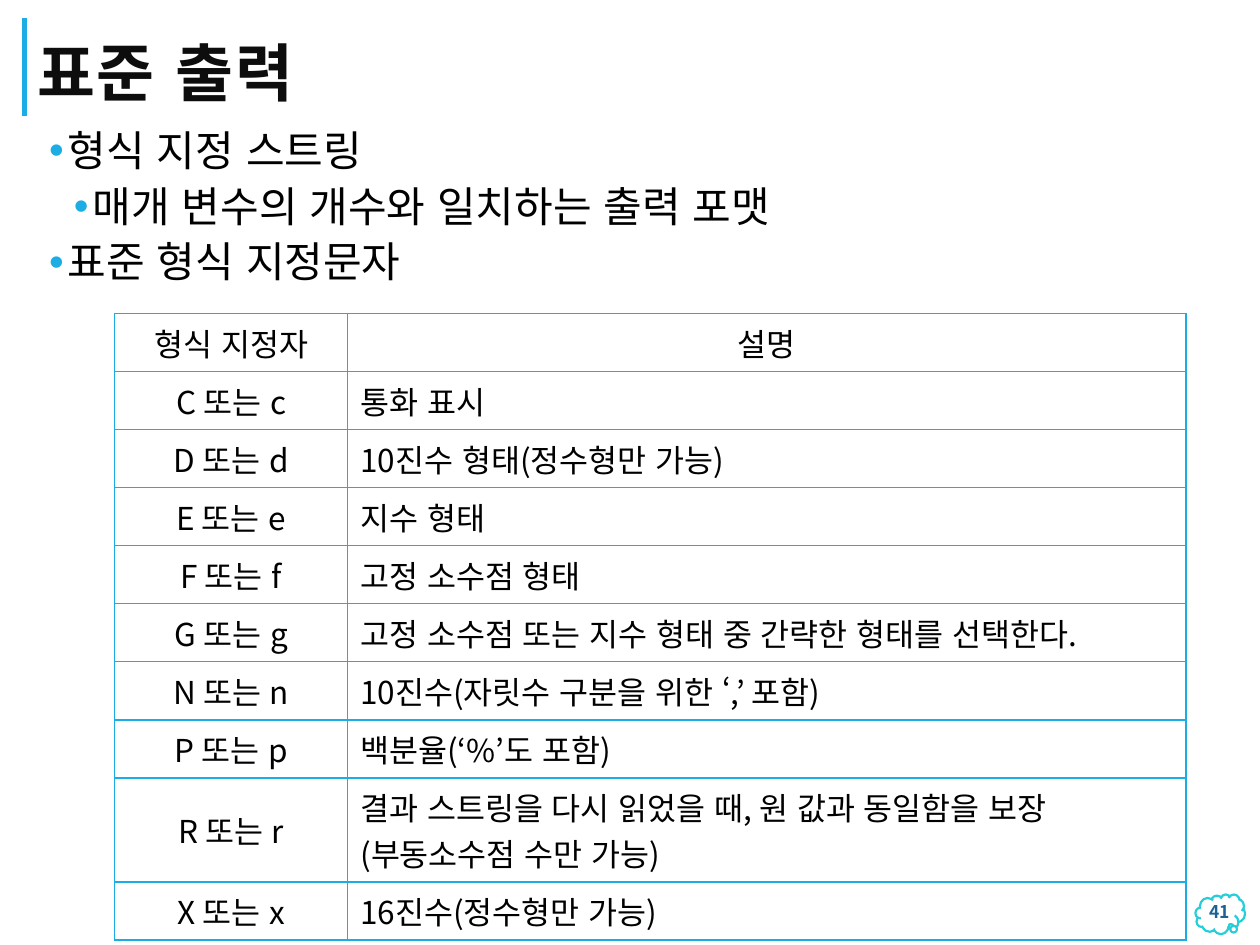
from dataclasses import dataclass

import lxml.etree
import pptx
import pptx.dml.color
import pptx.enum.shapes
import pptx.enum.text
import pptx.oxml.ns
import pptx.util

Cm = pptx.util.Cm
Pt = pptx.util.Pt
Align = pptx.enum.text.PP_ALIGN
Anchor = pptx.enum.text.MSO_ANCHOR
qn = pptx.oxml.ns.qn


@dataclass(frozen=True)
class Theme:
    font: str = "Noto Sans CJK KR"
    bullet_font: str = "Arial"
    language: str = "ko-KR"
    accent: str = "1CADE4"
    cloud_line: str = "27CED7"
    page_number: str = "1D6294"
    heading: str = "0D0D0D"
    body: str = "000000"
    paper: str = "FFFFFF"
    heading_size: int = 36
    body_size: int = 24
    table_size: int = 18
    page_size: int = 10


@dataclass(frozen=True)
class Box:
    left: float
    top: float
    width: float
    height: float

    def lengths(self) -> tuple:
        return Cm(self.left), Cm(self.top), Cm(self.width), Cm(self.height)


@dataclass(frozen=True)
class Bullet:
    text: str
    level: int = 0


@dataclass(frozen=True)
class Specifier:
    letter: str
    description: str

    @property
    def label(self) -> str:
        return f"{self.letter} 또는 {self.letter.lower()}"


THEME = Theme()

BULLETS = [
    Bullet("형식 지정 스트링"),
    Bullet("매개 변수의 개수와 일치하는 출력 포맷", 1),
    Bullet("표준 형식 지정문자"),
]

SPECIFIERS = [
    Specifier("C", "통화 표시"),
    Specifier("D", "10진수 형태(정수형만 가능)"),
    Specifier("E", "지수 형태"),
    Specifier("F", "고정 소수점 형태"),
    Specifier("G", "고정 소수점 또는 지수 형태 중 간략한 형태를 선택한다."),
    Specifier("N", "10진수(자릿수 구분을 위한 ‘,’ 포함)"),
    Specifier("P", "백분율(‘%’도 포함)"),
    Specifier("R", "결과 스트링을 다시 읽었을 때, 원 값과 동일함을 보장\n(부동소수점 수만 가능)"),
    Specifier("X", "16진수(정수형만 가능)"),
]


def rgb(color: str) -> pptx.dml.color.RGBColor:
    return pptx.dml.color.RGBColor.from_string(color)


def style(paragraph, size: int, color: str, bold: bool = False) -> None:
    font = paragraph.font
    font.name = THEME.font
    font.size = Pt(size)
    font.bold = bold
    font.color.rgb = rgb(color)
    properties = paragraph._p.pPr.find(qn("a:defRPr"))
    lxml.etree.SubElement(properties, qn("a:ea"), typeface=THEME.font)
    for run in paragraph.runs:
        run_properties = run._r.get_or_add_rPr()
        run_properties.set("lang", THEME.language)
        run_properties.set("kern", "0")


def add_text_frame(slide, box: Box, anchor: Anchor):
    frame = slide.shapes.add_textbox(*box.lengths()).text_frame
    frame.word_wrap = True
    frame.vertical_anchor = anchor
    return frame


def draw_title(slide, title: str) -> None:
    rule = slide.shapes.add_connector(
        pptx.enum.shapes.MSO_CONNECTOR.STRAIGHT, Cm(0.5), Cm(2.33), Cm(0.5), Cm(0.36)
    )
    rule.line.color.rgb = rgb(THEME.accent)
    rule.line.width = Pt(3)
    lxml.etree.SubElement(rule._element.spPr, qn("a:effectLst"))

    frame = add_text_frame(slide, Box(0.5, 0.34, 20.24, 1.98), Anchor.BOTTOM)
    heading = frame.paragraphs[0]
    run = heading.add_run()
    run.text = title
    run._r.get_or_add_rPr().set("spc", "100")
    heading.line_spacing = 0.8
    style(heading, THEME.heading_size, THEME.heading, bold=True)


def draw_bullets(slide, bullets: list[Bullet]) -> None:
    frame = add_text_frame(slide, Box(0.5, 2.49, 24.4, 15.6), Anchor.TOP)
    frame.margin_left = frame.margin_right = Cm(0.13)
    frame.margin_top = frame.margin_bottom = Cm(0.13)
    for index, bullet in enumerate(bullets):
        line = frame.add_paragraph() if index else frame.paragraphs[0]
        line.text = bullet.text
        line.level = bullet.level
        line.line_spacing = 0.9
        line.space_before = Pt(2 if index else 0)
        line.space_after = Pt(4)
        properties = line._p.get_or_add_pPr()
        properties.set("marL", str(Cm(0.74 + 0.5 * bullet.level)))
        properties.set("indent", str(-Cm(0.38)))
        bullet_color = lxml.etree.SubElement(properties, qn("a:buClr"))
        lxml.etree.SubElement(bullet_color, qn("a:srgbClr"), val=THEME.accent)
        lxml.etree.SubElement(properties, qn("a:buFont"), typeface=THEME.bullet_font)
        lxml.etree.SubElement(properties, qn("a:buChar"), char="•")
        style(line, THEME.body_size, THEME.body)


def draw_borders(cell) -> None:
    properties = cell._tc.get_or_add_tcPr()
    for side in ("a:lnL", "a:lnR", "a:lnT", "a:lnB"):
        border = lxml.etree.SubElement(properties, qn(side), w=str(Pt(1)))
        fill = lxml.etree.SubElement(border, qn("a:solidFill"))
        lxml.etree.SubElement(fill, qn("a:srgbClr"), val=THEME.accent)


def fill_cell(cell, text: str, alignment: Align) -> None:
    draw_borders(cell)
    cell.fill.background()
    cell.vertical_anchor = Anchor.MIDDLE
    cell.text_frame.text = text
    for paragraph in cell.text_frame.paragraphs:
        paragraph.alignment = alignment
        style(paragraph, THEME.table_size, THEME.body)


def draw_specifiers(slide, specifiers: list[Specifier]) -> None:
    rows = [("형식 지정자", "설명")] + [(s.label, s.description) for s in specifiers]
    box = Box(2.31, 6.32, 21.6, 12.65)
    table = slide.shapes.add_table(len(rows), 2, *box.lengths()).table
    table.first_row = table.horz_banding = False
    for column, width in zip(table.columns, (4.7, 16.9)):
        column.width = Cm(width)
    for index, (label, description) in enumerate(rows):
        table.rows[index].height = Cm(2.1 if "\n" in description else 1.17)
        fill_cell(table.cell(index, 0), label, Align.CENTER)
        fill_cell(table.cell(index, 1), description, Align.LEFT if index else Align.CENTER)


def draw_page_number(slide, number: str) -> None:
    cloud = slide.shapes.add_shape(
        pptx.enum.shapes.MSO_SHAPE.CLOUD_CALLOUT, *Box(24.1, 18.03, 1, 0.8).lengths()
    )
    cloud.adjustments[0] = 0.2
    cloud.adjustments[1] = 0.28
    cloud.shadow.inherit = False
    cloud.fill.solid()
    cloud.fill.fore_color.rgb = rgb(THEME.paper)
    cloud.line.color.rgb = rgb(THEME.cloud_line)
    cloud.line.width = Pt(1.25)

    frame = add_text_frame(slide, Box(23.44, 17.95, 1.6, 0.86), Anchor.MIDDLE)
    page = frame.paragraphs[0]
    page.text = number
    page.alignment = Align.RIGHT
    style(page, THEME.page_size, THEME.page_number, bold=True)


def main() -> None:
    presentation = pptx.Presentation()
    presentation.slide_width = Cm(25.4)
    presentation.slide_height = Cm(19.05)
    slide = presentation.slides.add_slide(presentation.slide_layouts[6])
    draw_title(slide, "표준 출력")
    draw_bullets(slide, BULLETS)
    draw_specifiers(slide, SPECIFIERS)
    draw_page_number(slide, "41")
    presentation.save("out.pptx")


if __name__ == "__main__":
    main()
